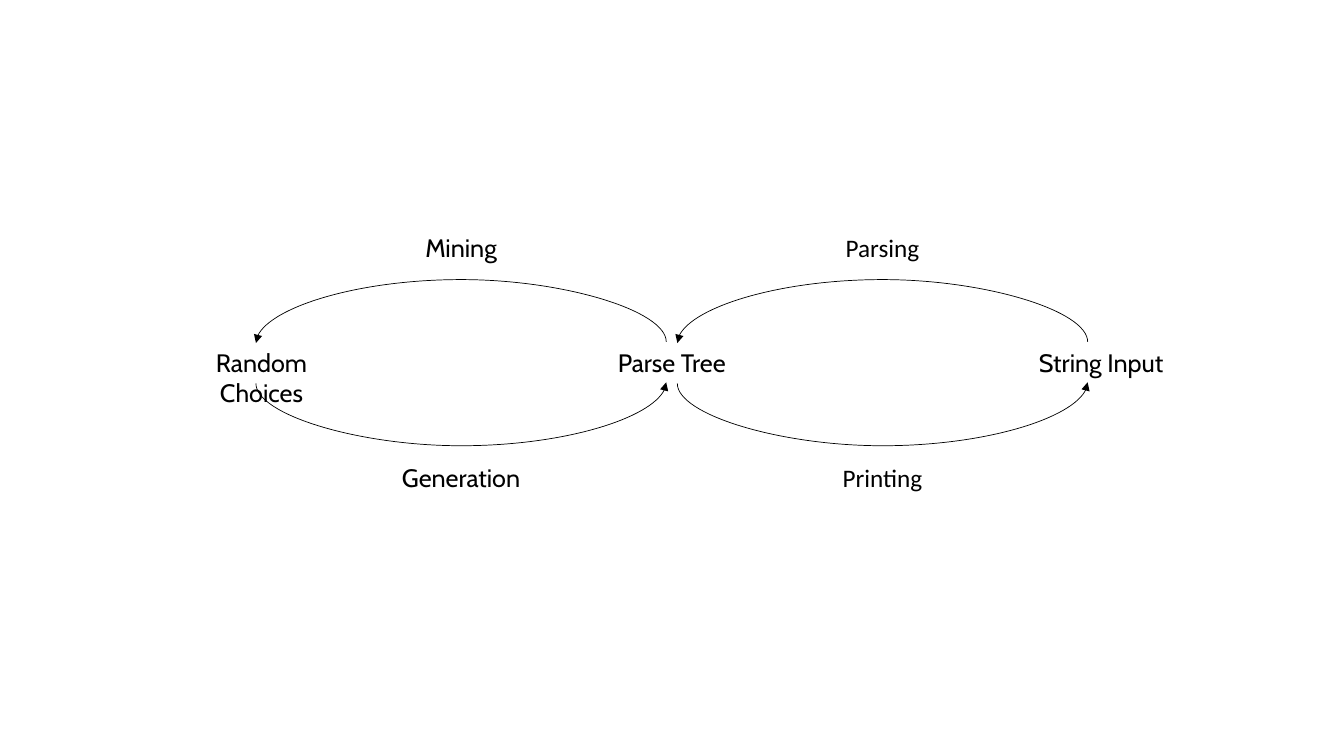
from pptx import Presentation
from pptx.dml.color import RGBColor
from pptx.enum.shapes import MSO_CONNECTOR
from pptx.enum.text import MSO_AUTO_SIZE, PP_ALIGN
from pptx.oxml.ns import qn
from pptx.util import Cm, Pt
from lxml import etree

BLACK = RGBColor(0, 0, 0)
CURVE = MSO_CONNECTOR.CURVE
CENTER = PP_ALIGN.CENTER
FIT_SHAPE = MSO_AUTO_SIZE.SHAPE_TO_FIT_TEXT

TEXT_HEIGHT = 1.02
LABEL_WIDTH = 4.27
LABEL_DISTANCE = 2.9
ARC_RISE = 1.57
ARC_THICKNESS = 0.03

NODE_TOP = 8.63
NODES = [  # text, centre, width
    ("Random Choices", 6.59, 5.0),
    ("Parse Tree", 16.93, 3.58),
    ("String Input", 27.75, 4.09),
]
LOOP_WIDTH = 10.34
LOOPS = [  # left, upper label, lower label, font
    (6.45, "Mining", "Generation", "Cabin"),
    (17.07, "Parsing", "Printing", "Calibri"),
]


def add_label(slide, text, center, top, width, font="Cabin"):
    box = slide.shapes.add_textbox(
        Cm(center - width / 2), Cm(top), Cm(width), Cm(TEXT_HEIGHT))
    frame = box.text_frame
    frame.word_wrap = True
    frame.auto_size = FIT_SHAPE
    paragraph = frame.paragraphs[0]
    paragraph.alignment = CENTER
    run = paragraph.add_run()
    run.text = text
    run.font.name = font
    run.font.size = Pt(18)
    run.font.color.rgb = BLACK


def add_arc(slide, center, y, span, upper):
    """Curved arrow: leftwards above the nodes, rightwards below them.

    It is a thin upright connector turned by 90 degrees, whose
    adjustment pushes the bend out by ARC_RISE.
    """
    direction = 1 if upper else -1
    half_width = direction * ARC_THICKNESS / 2
    half_height = direction * span / 2
    arc = slide.shapes.add_connector(
        CURVE,
        Cm(center - half_width), Cm(y - half_height),
        Cm(center + half_width), Cm(y + half_height))
    arc.line.color.rgb = BLACK
    arc.line.width = Pt(0.5)

    properties = arc._element.spPr
    properties.find(qn("a:xfrm")).set("rot", str(90 * 60000))
    adjustments = properties.find(qn("a:prstGeom")).get_or_add_avLst()
    bend = round(-ARC_RISE / ARC_THICKNESS * 100000)
    etree.SubElement(adjustments, qn("a:gd"), name="adj1", fmla=f"val {bend}")
    etree.SubElement(properties.find(qn("a:ln")), qn("a:tailEnd"), type="triangle")
    etree.SubElement(properties, qn("a:effectLst"))


def add_loop(slide, left, top, width, height, upper_text, lower_text, font):
    """Pair of opposite arrows around the node row, each with its label."""
    center = left + width / 2
    bottom = top + height
    add_arc(slide, center, bottom, width, upper=False)
    add_arc(slide, center, top, width, upper=True)
    add_label(slide, lower_text, center,
              bottom + LABEL_DISTANCE - TEXT_HEIGHT, LABEL_WIDTH, font)
    add_label(slide, upper_text, center, top - LABEL_DISTANCE, LABEL_WIDTH, font)


def main():
    presentation = Presentation()
    presentation.slide_width = Cm(33.87)
    presentation.slide_height = Cm(19.05)
    slide = presentation.slides.add_slide(presentation.slide_layouts[6])
    for text, center, width in NODES:
        add_label(slide, text, center, NODE_TOP, width)
    for left, upper_text, lower_text, font in LOOPS:
        add_loop(slide, left, NODE_TOP, LOOP_WIDTH, TEXT_HEIGHT,
                 upper_text, lower_text, font)
    presentation.save("out.pptx")


if __name__ == "__main__":
    main()
